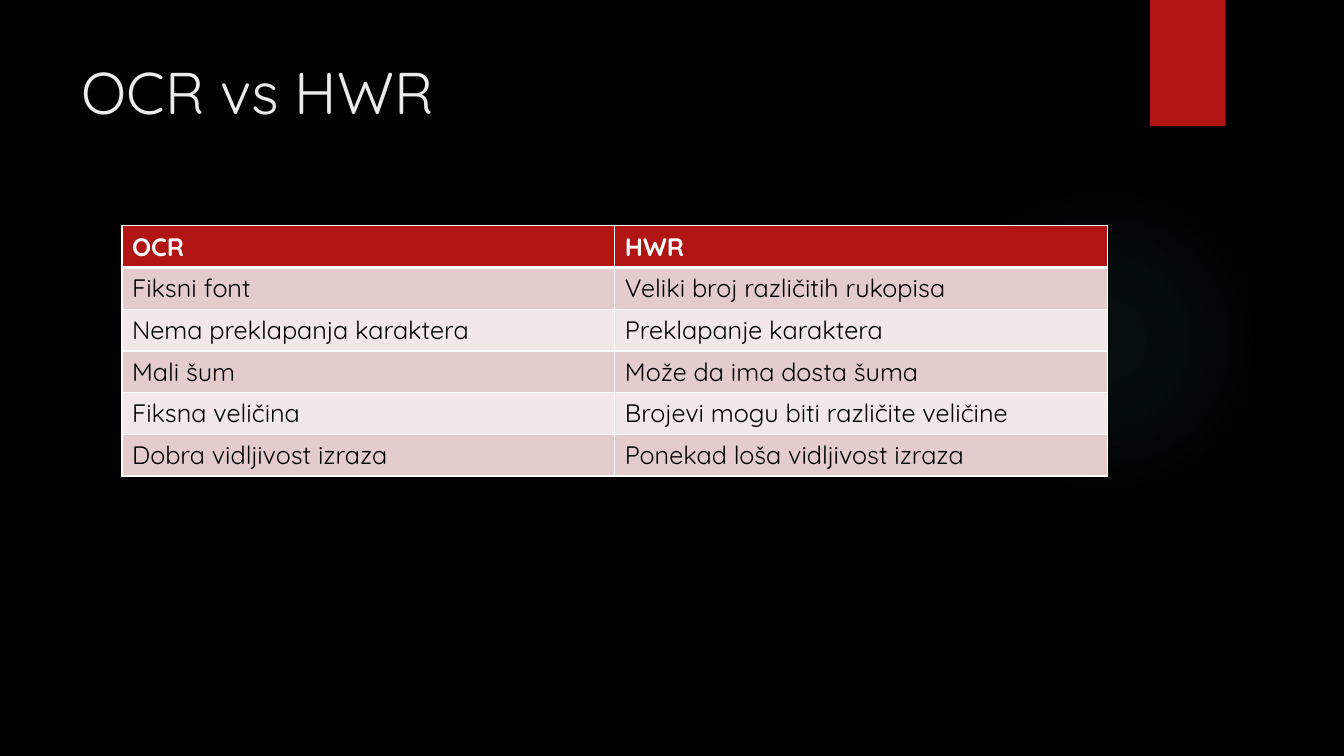
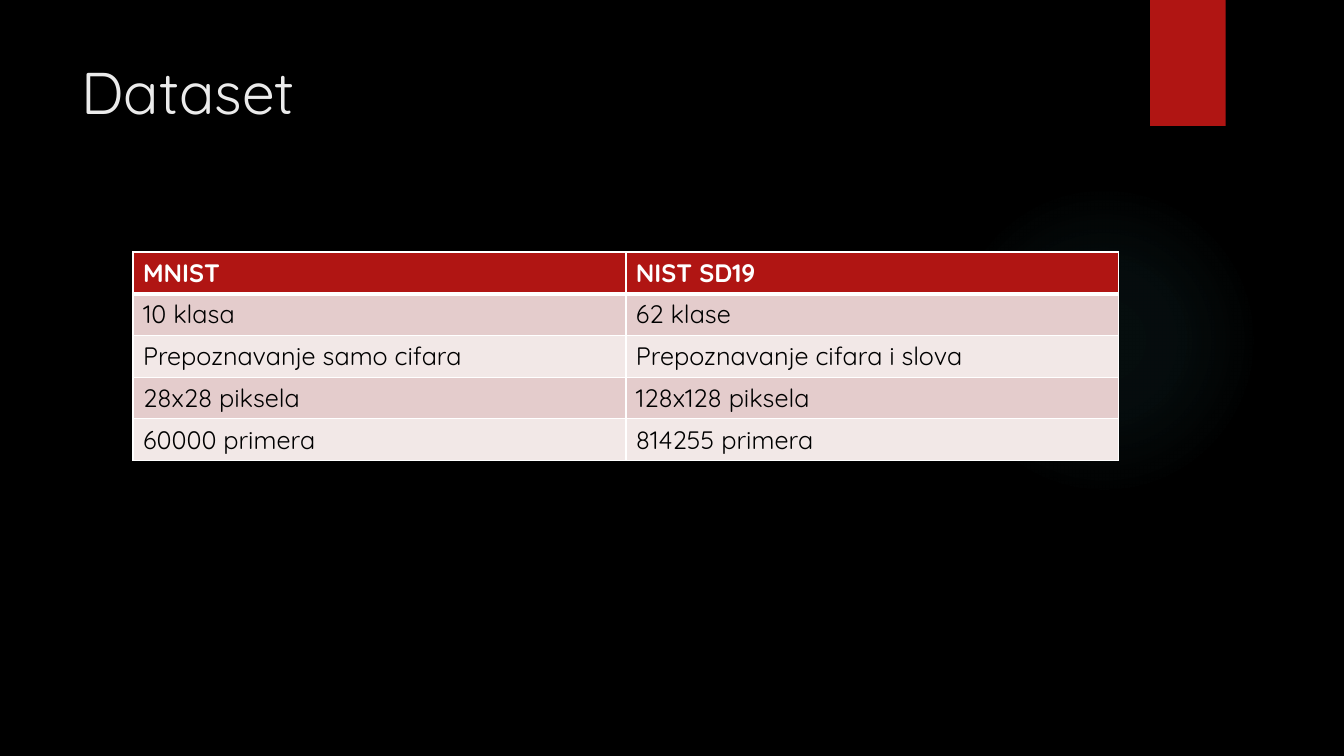
from dataclasses import dataclass

import lxml.etree
import pptx
import pptx.dml.color
import pptx.enum.shapes
import pptx.enum.text
import pptx.oxml
import pptx.oxml.ns
import pptx.presentation
import pptx.shapes.autoshape
import pptx.slide
import pptx.table
import pptx.text.text
import pptx.util

Pt = pptx.util.Pt
Shapes = pptx.enum.shapes.MSO_SHAPE

COLORS = {
    "background": "000000",
    "accent": "B01513",
    "glow": "50B9C1",
    "title": "EBEBEB",
    "header_text": "FFFFFF",
    "body_text": "000000",
    "odd_row": "E4CCCC",
    "even_row": "F2E8E7",
    "border": "FFFFFF",
}
FONT = "Quicksand"
TITLE_ONLY = 5
COLUMN_WIDTH = 352.1
ROW_HEIGHT = 29.2
THIN_BORDER, HEADER_BORDER = 1, 3
# Position and opacity of each glow stop, in percent
GLOW_STOPS = ((0, 7), (36, 6), (69, 0))


@dataclass(frozen=True)
class Comparison:
    title: str
    title_height: float
    left: float
    top: float
    rows: tuple[tuple[str, str], ...]


COMPARISONS = (
    Comparison("OCR vs HWR", 70.6, 87.1, 161.3, (
        ("OCR", "HWR"),
        ("Fiksni font", "Veliki broj različitih rukopisa"),
        ("Nema preklapanja karaktera", "Preklapanje karaktera"),
        ("Mali šum", "Može da ima dosta šuma"),
        ("Fiksna veličina", "Brojevi mogu biti različite veličine"),
        ("Dobra vidljivost izraza", "Ponekad loša vidljivost izraza"),
    )),
    Comparison("Dataset", 110.2, 95, 180, (
        ("MNIST", "NIST SD19"),
        ("10 klasa", "62 klase"),
        ("Prepoznavanje samo cifara", "Prepoznavanje cifara i slova"),
        ("28x28 piksela", "128x128 piksela"),
        ("60000 primera", "814255 primera"),
    )),
)


def rgb(name: str) -> pptx.dml.color.RGBColor:
    return pptx.dml.color.RGBColor.from_string(COLORS[name])


def style_paragraph(paragraph: pptx.text.text._Paragraph, size: float,
                    color: str, bold: bool = False) -> None:
    font = paragraph.font
    font.name, font.size, font.bold = FONT, Pt(size), bold
    font.color.rgb = rgb(color)


def add_plain_shape(slide: pptx.slide.Slide, kind: Shapes, left: float, top: float,
                    width: float, height: float) -> pptx.shapes.autoshape.Shape:
    """Add a shape with neither line nor shadow."""
    shape = slide.shapes.add_shape(kind, Pt(left), Pt(top), Pt(width), Pt(height))
    shape.shadow.inherit = False
    shape.line.fill.background()
    return shape


def fill_with_glow(shape: pptx.shapes.autoshape.Shape) -> None:
    stops = "".join(
        f'<a:gs pos="{position * 1000}"><a:srgbClr val="{COLORS["glow"]}">'
        f'<a:alpha val="{opacity * 1000}"/></a:srgbClr></a:gs>'
        for position, opacity in GLOW_STOPS
    )
    gradient = pptx.oxml.parse_xml(
        f'<a:gradFill {pptx.oxml.ns.nsdecls("a")} rotWithShape="1"><a:gsLst>{stops}</a:gsLst>'
        '<a:path path="circle"><a:fillToRect l="50000" t="50000" r="50000" b="50000"/>'
        '</a:path></a:gradFill>'
    )
    shape.fill.background()
    properties = shape.element.spPr
    properties.replace(properties.find(pptx.oxml.ns.qn("a:noFill")), gradient)


def add_decoration(slide: pptx.slide.Slide) -> None:
    fill_with_glow(add_plain_shape(slide, Shapes.OVAL, 677.5, 131.8, 221.8, 221.8))
    band = add_plain_shape(slide, Shapes.RECTANGLE, 821.5, 0, 54, 90)
    band.fill.solid()
    band.fill.fore_color.rgb = rgb("accent")


def set_title(slide: pptx.slide.Slide, text: str, height: float) -> None:
    title = slide.shapes.title
    title.left, title.top, title.width, title.height = Pt(51.1), Pt(36), Pt(740.9), Pt(height)
    frame = title.text_frame
    frame.text = text
    frame.word_wrap = True
    frame.auto_size = pptx.enum.text.MSO_AUTO_SIZE.NONE
    frame.vertical_anchor = pptx.enum.text.MSO_ANCHOR.TOP
    paragraph = frame.paragraphs[0]
    paragraph.alignment = pptx.enum.text.PP_ALIGN.LEFT
    style_paragraph(paragraph, 42, "title")


def set_borders(cell: pptx.table._Cell, top: float, bottom: float) -> None:
    properties = cell._tc.get_or_add_tcPr()
    widths = {"lnL": THIN_BORDER, "lnR": THIN_BORDER, "lnT": top, "lnB": bottom}
    for index, (side, width) in enumerate(widths.items()):
        line = lxml.etree.Element(pptx.oxml.ns.qn(f"a:{side}"), w=str(Pt(width)))
        fill = lxml.etree.SubElement(line, pptx.oxml.ns.qn("a:solidFill"))
        lxml.etree.SubElement(fill, pptx.oxml.ns.qn("a:srgbClr"), val=COLORS["border"])
        properties.insert(index, line)


def add_comparison_table(slide: pptx.slide.Slide, comparison: Comparison) -> None:
    rows = comparison.rows
    columns = len(rows[0])
    table = slide.shapes.add_table(
        len(rows), columns, Pt(comparison.left), Pt(comparison.top),
        Pt(COLUMN_WIDTH * columns), Pt(ROW_HEIGHT * len(rows)),
    ).table
    for row_index, texts in enumerate(rows):
        is_header = row_index == 0
        band = "accent" if is_header else "odd_row" if row_index % 2 else "even_row"
        for cell, text in zip(table.rows[row_index].cells, texts):
            cell.text = text
            cell.fill.solid()
            cell.fill.fore_color.rgb = rgb(band)
            style_paragraph(cell.text_frame.paragraphs[0], 18,
                            "header_text" if is_header else "body_text", is_header)
            set_borders(cell, HEADER_BORDER if row_index == 1 else THIN_BORDER,
                        HEADER_BORDER if is_header else THIN_BORDER)


def add_comparison_slide(presentation: pptx.presentation.Presentation,
                         comparison: Comparison) -> None:
    slide = presentation.slides.add_slide(presentation.slide_layouts[TITLE_ONLY])
    add_decoration(slide)
    set_title(slide, comparison.title, comparison.title_height)
    add_comparison_table(slide, comparison)


def main() -> None:
    presentation = pptx.Presentation()
    presentation.slide_width, presentation.slide_height = Pt(960), Pt(540)
    background = presentation.slide_master.background.fill
    background.solid()
    background.fore_color.rgb = rgb("background")
    for comparison in COMPARISONS:
        add_comparison_slide(presentation, comparison)
    presentation.save("out.pptx")


if __name__ == "__main__":
    main()
